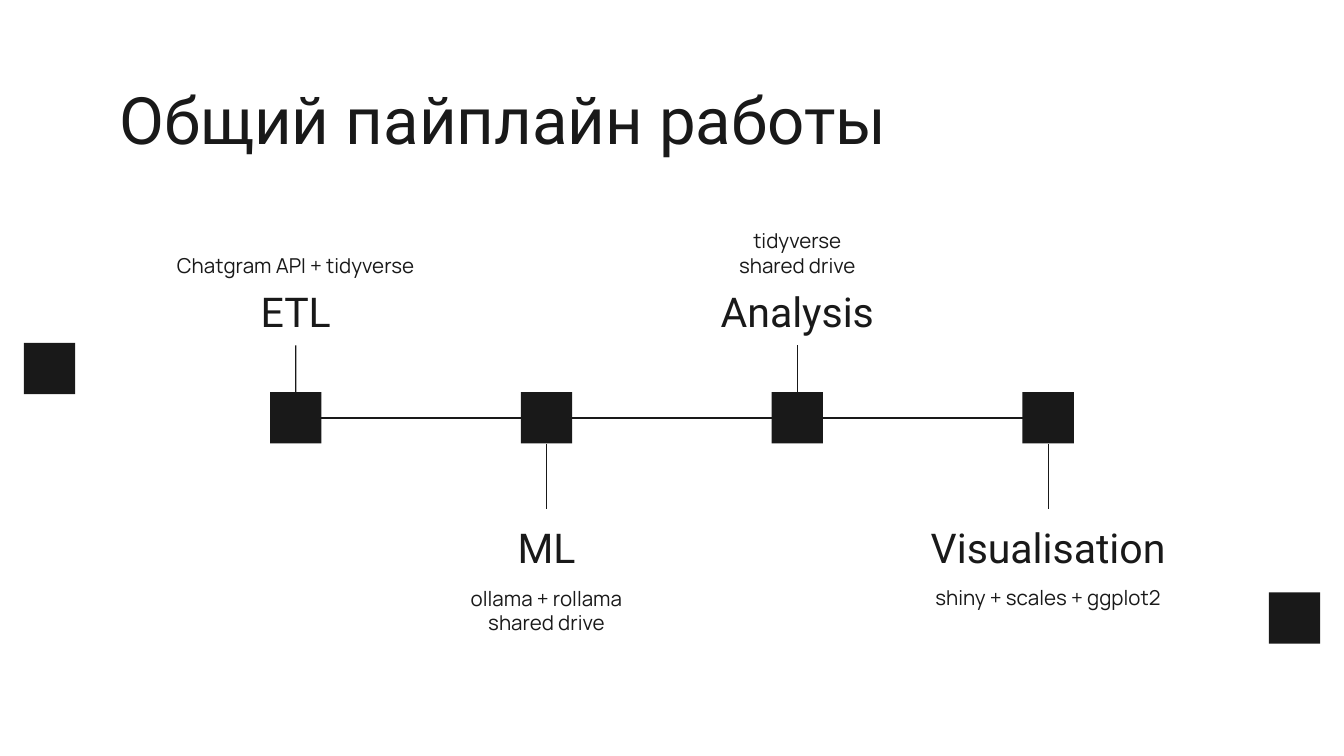
import pptx
import pptx.dml.color
import pptx.enum.shapes
import pptx.enum.text
import pptx.oxml.ns
import pptx.util
from dataclasses import dataclass
from lxml import etree

Cm = pptx.util.Cm
Anchor = pptx.enum.text.MSO_ANCHOR
Align = pptx.enum.text.PP_ALIGN
TOP, LEFT, BOTTOM, RIGHT = range(4)  # connection sites of a rectangle


@dataclass(frozen=True)
class Theme:
    ink: pptx.dml.color.RGBColor = pptx.dml.color.RGBColor(0x19, 0x19, 0x19)
    paper: pptx.dml.color.RGBColor = pptx.dml.color.RGBColor(0xFF, 0xFF, 0xFF)
    heading_font: str = "Roboto"
    body_font: str = "Manrope"
    title_size: int = 35
    heading_size: int = 22
    body_size: int = 11
    line_width: float = 0.75


THEME = Theme()

# Timeline geometry in centimetres
SQUARE = 0.97
FIRST_CENTER, STEP = 5.59, 4.74
AXIS = 7.9
LABEL_WIDTH, HEADING_HEIGHT, DETAIL_HEIGHT = 5.94, 1.37, 1.6

# Stages alternate above and below the axis
STAGES = [
    ("ETL", ["Chatgram API + tidyverse"]),
    ("ML", ["ollama + rollama", "shared drive"]),
    ("Analysis", ["tidyverse", "shared drive"]),
    ("Visualisation", ["shiny + scales + ggplot2"]),
]


def add_text(slide, lines, box, font, size, align=Align.CENTER, anchor=Anchor.TOP):
    shape = slide.shapes.add_textbox(*(Cm(length) for length in box))
    frame = shape.text_frame
    frame.word_wrap = True
    frame.vertical_anchor = anchor
    frame.margin_left = frame.margin_right = Cm(0.25)
    frame.margin_top = frame.margin_bottom = Cm(0.25)
    frame.text = "\n".join(lines)
    for paragraph in frame.paragraphs:
        paragraph.alignment = align
        paragraph.font.name = font
        paragraph.font.size = pptx.util.Pt(size)
        paragraph.font.color.rgb = THEME.ink


def add_square(slide, left, top):
    shape = slide.shapes.add_shape(
        pptx.enum.shapes.MSO_SHAPE.RECTANGLE, Cm(left), Cm(top), Cm(SQUARE), Cm(SQUARE))
    shape.shadow.inherit = False
    shape.fill.solid()
    shape.fill.fore_color.rgb = THEME.ink
    shape.line.fill.background()
    return shape


def add_line(slide, x, y, start, site):
    """Draw a line from a side of the start square to the point (x, y)."""
    connector = slide.shapes.add_connector(
        pptx.enum.shapes.MSO_CONNECTOR.STRAIGHT, 0, 0, Cm(x), Cm(y))
    connector.begin_connect(start, site)
    connector.line.color.rgb = THEME.ink
    connector.line.width = pptx.util.Pt(THEME.line_width)
    properties = connector._element.spPr
    etree.SubElement(properties, pptx.oxml.ns.qn("a:effectLst"))
    return connector


def add_stage(slide, center, heading, details, above):
    """Add a square with its stem, heading and detail text."""
    square = add_square(slide, center - SQUARE / 2, AXIS - SQUARE / 2)
    if above:
        heading_top, detail_top, anchor = 5.16, 3.89, Anchor.BOTTOM
        stem_end, site = heading_top + HEADING_HEIGHT, TOP
    else:
        heading_top, detail_top, anchor = 9.63, 10.82, Anchor.TOP
        stem_end, site = heading_top, BOTTOM
    left = center - LABEL_WIDTH / 2
    add_text(slide, [heading], (left, heading_top, LABEL_WIDTH, HEADING_HEIGHT),
             THEME.heading_font, THEME.heading_size)
    add_text(slide, details, (left, detail_top, LABEL_WIDTH, DETAIL_HEIGHT),
             THEME.body_font, THEME.body_size, anchor=anchor)
    add_line(slide, center, stem_end, square, site)
    return square


def main():
    presentation = pptx.Presentation()
    presentation.slide_width = Cm(25.4)
    presentation.slide_height = Cm(14.29)
    slide = presentation.slides.add_slide(presentation.slide_layouts[6])
    slide.background.fill.solid()
    slide.background.fill.fore_color.rgb = THEME.paper

    # Decorative squares at the slide edges
    add_square(slide, 0.45, 6.48)
    add_square(slide, 23.98, 11.2)

    # Title
    add_text(slide, ["Общий пайплайн работы"], (2.01, 1.24, 21.41, 1.6),
             THEME.heading_font, THEME.title_size, align=Align.LEFT)

    # Stages of the timeline
    squares = [
        add_stage(slide, FIRST_CENTER + index * STEP, heading, details, index % 2 == 0)
        for index, (heading, details) in enumerate(STAGES)
    ]

    # Axis between neighbouring squares
    for start, end in zip(squares, squares[1:]):
        connector = add_line(slide, FIRST_CENTER, AXIS, start, RIGHT)
        connector.end_connect(end, LEFT)

    presentation.save("out.pptx")


if __name__ == "__main__":
    main()
